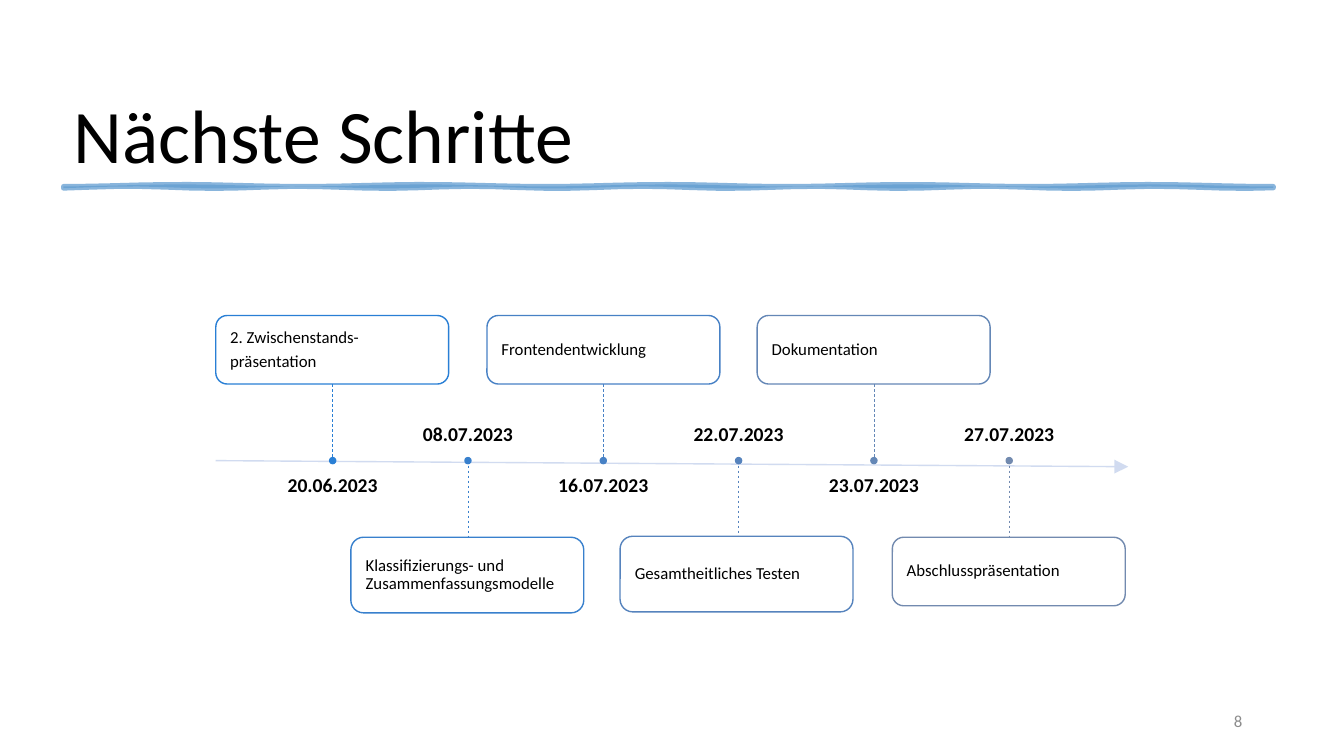
from dataclasses import dataclass
from math import pi, sin

from lxml import etree
from pptx import Presentation
from pptx.dml.color import RGBColor
from pptx.enum.dml import MSO_LINE_DASH_STYLE as Dash
from pptx.enum.shapes import MSO_CONNECTOR as Connector, MSO_SHAPE as Shape
from pptx.enum.text import MSO_ANCHOR as Anchor, MSO_AUTO_SIZE as AutoSize, PP_ALIGN as Align
from pptx.oxml.ns import qn
from pptx.util import Inches, Pt

FONT = "Calibri"
BLACK = RGBColor(0x00, 0x00, 0x00)
WHITE = RGBColor(0xFF, 0xFF, 0xFF)
GREY = RGBColor(0x8C, 0x8C, 0x8C)
RULE_BLUE = RGBColor(0x62, 0x9D, 0xD1)
AXIS_BLUE = RGBColor(0xCD, 0xD8, 0xEF)

AXIS_Y = 4.57
FIRST_X = 3.3
LAST_X = 10.01
CARD_WIDTH = 2.31
DATE_WIDTH = 2.04
DATE_HEIGHT = 0.45
DOT_SIZE = 0.06


@dataclass
class Milestone:
    date: str
    task: str
    color: RGBColor
    left: float
    top: float
    height: float


MILESTONES = [
    Milestone("20.06.2023", "2. Zwischenstands-\npräsentation",
              RGBColor(0x29, 0x7F, 0xD5), 2.14, 3.13, 0.68),
    Milestone("08.07.2023", "Klassifizierungs- und Zusammenfassungsmodelle",
              RGBColor(0x38, 0x80, 0xCD), 3.48, 5.33, 0.75),
    Milestone("16.07.2023", "Frontendentwicklung",
              RGBColor(0x47, 0x81, 0xC5), 4.83, 3.13, 0.68),
    Milestone("22.07.2023", "Gesamtheitliches Testen",
              RGBColor(0x56, 0x83, 0xBD), 6.15, 5.32, 0.75),
    Milestone("23.07.2023", "Dokumentation",
              RGBColor(0x64, 0x87, 0xB6), 7.51, 3.13, 0.68),
    Milestone("27.07.2023", "Abschlusspräsentation",
              RGBColor(0x72, 0x8A, 0xAF), 8.85, 5.33, 0.68),
]


def box(left, top, width, height):
    return [Inches(length) for length in (left, top, width, height)]


def set_alpha(fill_parent, percent):
    color = fill_parent.find(qn("a:solidFill"))[0]
    etree.SubElement(color, qn("a:alpha")).set("val", str(percent * 1000))


def style_font(font, size, color=BLACK, bold=False):
    font.name = FONT
    font.size = Pt(size)
    font.bold = bold
    font.color.rgb = color


def write_text(frame, text, size, align, anchor, side=0, bold=False):
    frame.text = text
    frame.word_wrap = True
    frame.vertical_anchor = anchor
    frame.margin_left = frame.margin_right = Inches(side)
    frame.margin_top = frame.margin_bottom = 0
    for paragraph in frame.paragraphs:
        paragraph.alignment = align
        paragraph.line_spacing = 0.9
        paragraph.space_after = Pt(round(size * 0.35))
        for run in paragraph.runs:
            style_font(run.font, size, bold=bold)


def add_title(slide, text):
    title = slide.shapes.title
    title.left, title.top, title.width, title.height = box(0.63, 0.26, 12.05, 1.57)
    frame = title.text_frame
    frame.text = text
    frame.auto_size = AutoSize.NONE
    frame.vertical_anchor = Anchor.BOTTOM
    paragraph = frame.paragraphs[0]
    paragraph.alignment = Align.LEFT
    paragraph.line_spacing = 0.9
    style_font(paragraph.runs[0].font, 54)


def add_wavy_rule(slide):
    steps = 48
    xs = [0.63 + 12 * step / steps for step in range(steps + 1)]

    def edge(base, wavelength, positions):
        return [(Inches(x), Inches(base + 0.01 * sin(2 * pi * x / wavelength)))
                for x in positions]

    outline = edge(1.84, 2.4, xs) + edge(1.86, 1.7, reversed(xs))
    builder = slide.shapes.build_freeform(*outline[0], scale=1.0)
    builder.add_line_segments(outline[1:], close=True)
    rule = builder.convert_to_shape()
    rule.shadow.inherit = False
    rule.fill.solid()
    rule.fill.fore_color.rgb = RULE_BLUE
    set_alpha(rule.fill._xPr, 75)
    rule.line.color.rgb = RULE_BLUE
    rule.line.width = Pt(3.5)
    set_alpha(rule.line._ln, 75)


def add_line(slide, start, end, color, width):
    ends = [Inches(length) for length in (*start, *end)]
    line = slide.shapes.add_connector(Connector.STRAIGHT, *ends)
    line.line.color.rgb = color
    line.line.width = Pt(width)
    etree.SubElement(line._element.spPr, qn("a:effectLst"))
    return line


def add_axis(slide):
    axis = add_line(slide, (2.14, AXIS_Y), (11.19, 4.63), AXIS_BLUE, 1)
    set_alpha(axis.line._ln, 90)
    arrowhead = etree.SubElement(axis.line._ln, qn("a:tailEnd"))
    for key, value in (("type", "triangle"), ("w", "lg"), ("len", "lg")):
        arrowhead.set(key, value)


def add_plain_shape(slide, kind, bounds, fill=None, outline=None):
    shape = slide.shapes.add_shape(kind, *box(*bounds))
    shape.shadow.inherit = False
    if fill is None:
        shape.fill.background()
    else:
        shape.fill.solid()
        shape.fill.fore_color.rgb = fill
    if outline is None:
        shape.line.fill.background()
    else:
        shape.line.color.rgb = outline
        shape.line.width = Pt(1)
    return shape


def add_milestone(slide, milestone, x):
    above = milestone.top < AXIS_Y
    card = add_plain_shape(
        slide, Shape.ROUNDED_RECTANGLE,
        (milestone.left, milestone.top, CARD_WIDTH, milestone.height),
        WHITE, milestone.color)
    set_alpha(card.fill._xPr, 90)
    write_text(card.text_frame, milestone.task, 12, Align.LEFT, Anchor.MIDDLE, side=0.11)

    card_edge = milestone.top + milestone.height if above else milestone.top
    stem = add_line(slide, (x, min(card_edge, AXIS_Y)), (x, max(card_edge, AXIS_Y)),
                    milestone.color, 0.5)
    stem.line.dash_style = Dash.DASH

    date_top = 4.72 if above else 3.97
    date = add_plain_shape(
        slide, Shape.RECTANGLE, (x - DATE_WIDTH / 2, date_top, DATE_WIDTH, DATE_HEIGHT))
    write_text(date.text_frame, milestone.date, 14, Align.CENTER,
               Anchor.TOP if above else Anchor.BOTTOM, bold=True)

    add_plain_shape(
        slide, Shape.OVAL,
        (x - DOT_SIZE / 2, AXIS_Y - DOT_SIZE / 2, DOT_SIZE, DOT_SIZE),
        milestone.color, milestone.color)


def add_page_number(slide, number):
    frame = slide.shapes.add_textbox(*box(9.42, 6.95, 3, 0.4)).text_frame
    frame.text = number
    frame.word_wrap = True
    frame.vertical_anchor = Anchor.MIDDLE
    paragraph = frame.paragraphs[0]
    paragraph.alignment = Align.RIGHT
    style_font(paragraph.runs[0].font, 12, GREY)


def main():
    deck = Presentation()
    deck.slide_width, deck.slide_height = Inches(13.33), Inches(7.5)
    slide = deck.slides.add_slide(deck.slide_layouts[5])
    add_title(slide, "Nächste Schritte")
    add_wavy_rule(slide)
    add_plain_shape(slide, Shape.RECTANGLE, (2.14, 2.57, 9.05, 4), WHITE)
    add_axis(slide)
    step_x = (LAST_X - FIRST_X) / (len(MILESTONES) - 1)
    for index, milestone in enumerate(MILESTONES):
        add_milestone(slide, milestone, FIRST_X + index * step_x)
    add_page_number(slide, "8")
    deck.save("out.pptx")


main()
